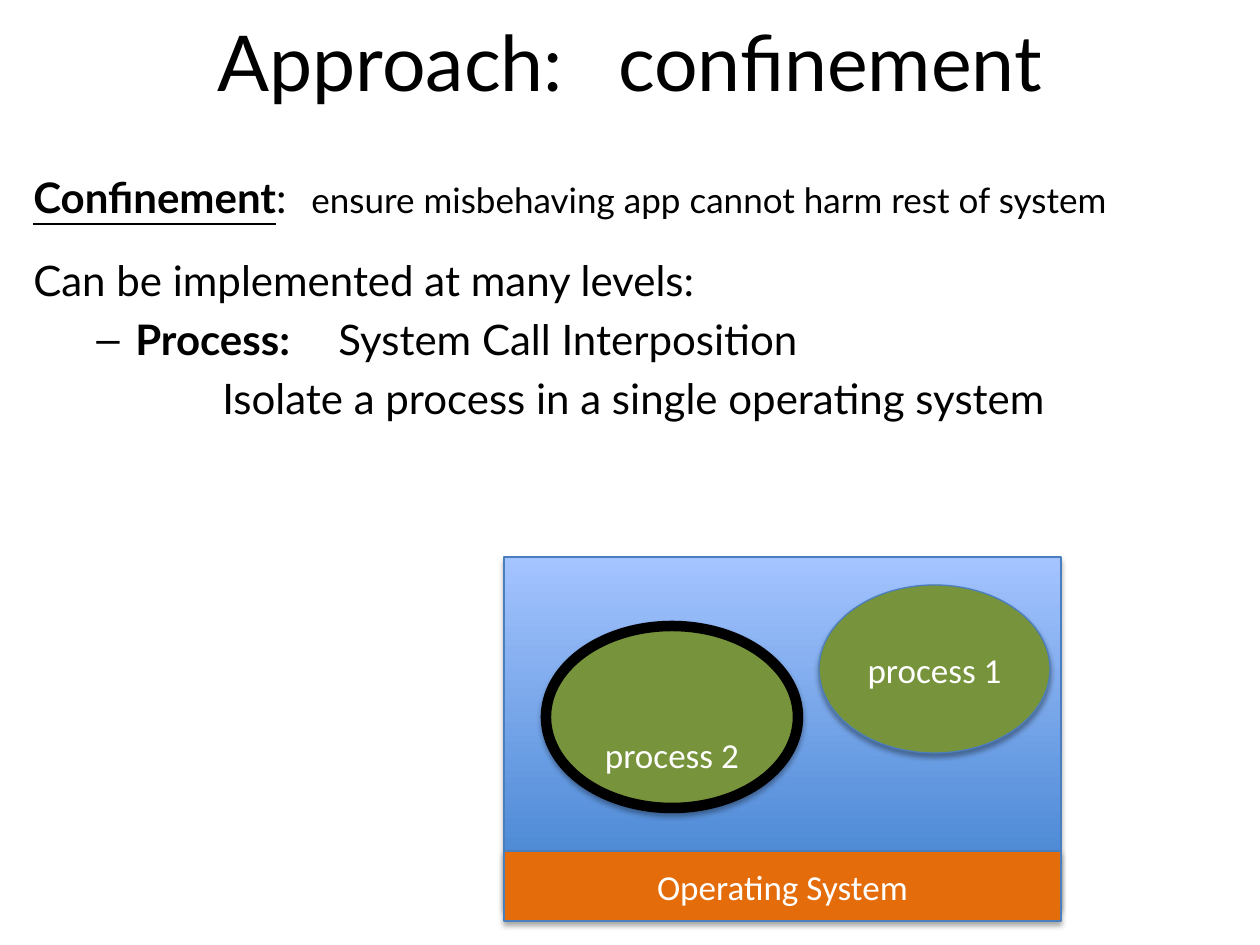
"""Build the slide that explains confinement of a process."""
from lxml.etree import SubElement
from pptx import Presentation
from pptx.dml.color import RGBColor
from pptx.enum.shapes import MSO_SHAPE
from pptx.enum.text import MSO_ANCHOR, PP_ALIGN
from pptx.oxml.ns import qn
from pptx.util import Pt

SCALE = 914400 / 126
COLORS = {
    "black": "000000", "white": "FFFFFF", "edge": "4B7EBC",
    "deep": "3F80CE", "pale": "A4C4FF", "orange": "E46C0A", "green": "77933C",
}


def px(size):
    return round(size * SCALE)


def hue(name):
    return RGBColor.from_string(COLORS[name])


def write(para, *runs, font="Lato", size=24, color="black", align=PP_ALIGN.LEFT,
          before=0, left=0, hang=0, bullet=None):
    para.alignment = align
    para.space_before = Pt(before)
    props = para._p.get_or_add_pPr()
    props.set("marL", str(px(left)))
    props.set("indent", str(-px(hang)))
    if bullet:
        SubElement(props, qn("a:buFont"), typeface="Arial")
        SubElement(props, qn("a:buChar"), char=bullet)
    para.font.size = Pt(size)
    for text, style in runs:
        run = para.add_run()
        run.text = text
        run.font.name = font
        run.font.size = Pt(style.get("size", size))
        run.font.color.rgb = hue(color)
        run.font.bold = style.get("bold", False)
        run.font.underline = style.get("under", False)
        if "gap" in style:
            run.font._element.set("spc", str(round(style["gap"] * 100)))


def add_box(slide, *rect, anchor=MSO_ANCHOR.TOP):
    frame = slide.shapes.add_textbox(*map(px, rect)).text_frame
    frame.word_wrap = True
    frame.vertical_anchor = anchor
    return frame


def add_shade(shape):
    shape.shadow.inherit = False
    effects = shape._element.spPr.find(qn("a:effectLst"))
    shade = SubElement(effects, qn("a:outerShdw"), blurRad=str(Pt(3.1)),
                       dist=str(Pt(1.8)), dir="5400000", rotWithShape="0")
    tint = SubElement(shade, qn("a:srgbClr"), val=COLORS["black"])
    SubElement(tint, qn("a:alpha"), val="35000")


def add_part(slide, kind, *rect, fill=None, edge="edge", width=0.75,
             label=None, anchor=MSO_ANCHOR.MIDDLE):
    shape = slide.shapes.add_shape(kind, *map(px, rect))
    if fill:
        shape.fill.solid()
        shape.fill.fore_color.rgb = hue(fill)
    else:
        shape.fill.gradient()
        shape.fill.gradient_angle = 90
        for stop, name in zip(shape.fill.gradient_stops, ("deep", "pale")):
            stop.color.rgb = hue(name)
    shape.line.color.rgb = hue(edge)
    shape.line.width = Pt(width)
    add_shade(shape)
    if label:
        shape.text_frame.vertical_anchor = anchor
        write(shape.text_frame.paragraphs[0], (label, {}), font="Calibri",
              size=20, color="white", align=PP_ALIGN.CENTER)


def add_body(slide):
    body = add_box(slide, 21, 165, 1197, 777)
    write(body.paragraphs[0], ("Confinement", {"bold": True, "under": True}),
          (":", {}), (" ", {"size": 20, "gap": 9}),
          ("ensure misbehaving app cannot harm rest of system", {"size": 20}))
    write(body.add_paragraph(), ("Can be implemented at many levels:", {}), before=19)
    write(body.add_paragraph(), ("Process:", {"bold": True}),
          (" ", {"bold": True, "gap": 21.7}), ("System Call Interposition", {}),
          before=4.8, left=102, hang=39, bullet="–")
    write(body.add_paragraph(),
          ("Isolate a process in a single operating system", {}),
          before=4.8, left=189)


def main():
    deck = Presentation()
    deck.slide_width, deck.slide_height = px(1260), px(945)
    slide = deck.slides.add_slide(deck.slide_layouts[6])
    title = add_box(slide, 63, -18, 1134, 158, anchor=MSO_ANCHOR.MIDDLE)
    write(title.paragraphs[0], ("Approach:", {}), (" ", {"gap": 19.9}),
          ("confinement", {}), size=44, align=PP_ALIGN.CENTER)
    add_body(slide)
    add_part(slide, MSO_SHAPE.RECTANGLE, 504, 557, 557, 350)
    add_part(slide, MSO_SHAPE.RECTANGLE, 504, 851, 557, 70,
             fill="orange", label="Operating System")
    add_part(slide, MSO_SHAPE.OVAL, 546, 626, 252, 182, fill="green",
             edge="black", width=6, label="process 2", anchor=MSO_ANCHOR.BOTTOM)
    add_part(slide, MSO_SHAPE.OVAL, 819, 585, 231, 168,
             fill="green", label="process 1")
    deck.save("out.pptx")


if __name__ == "__main__":
    main()
